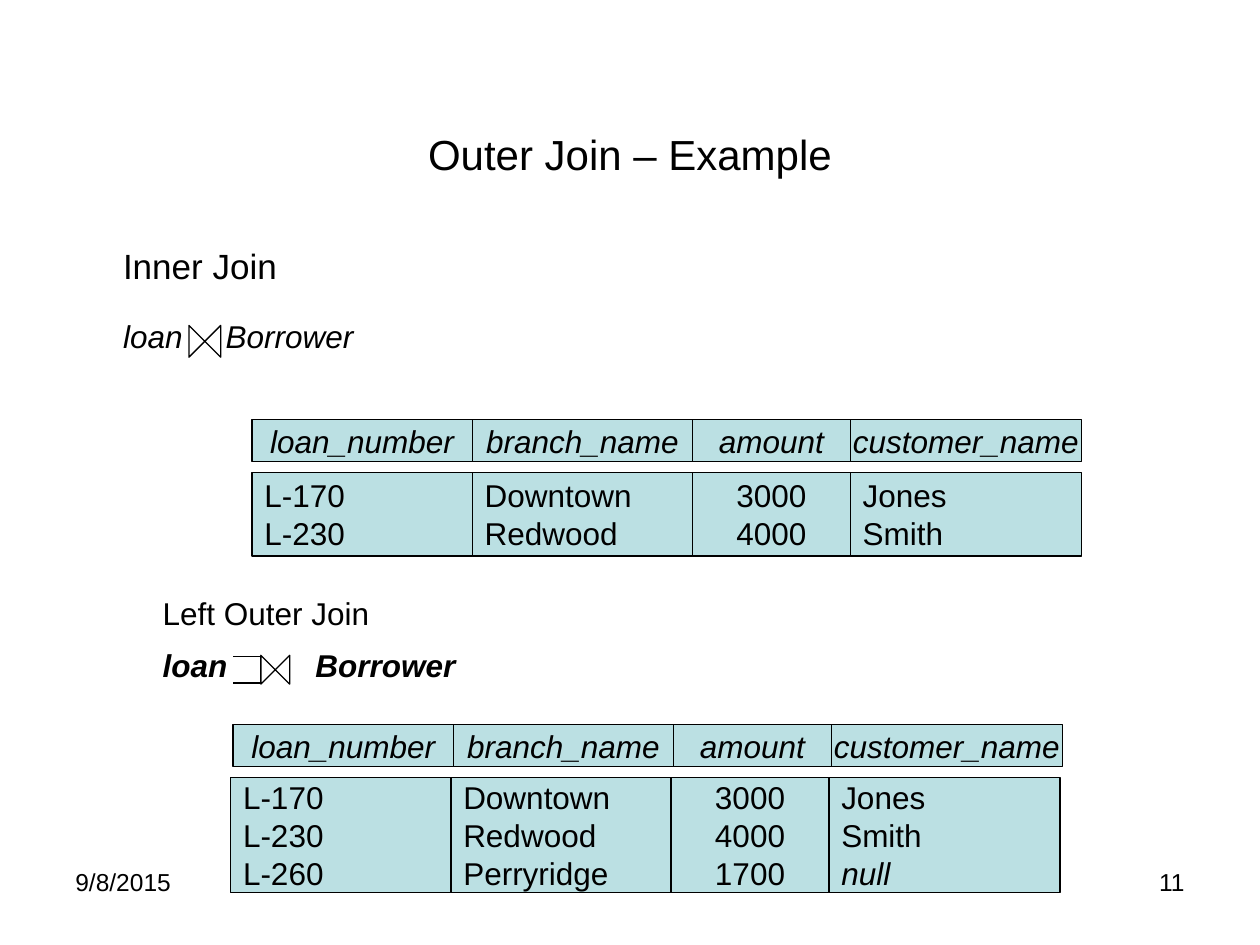
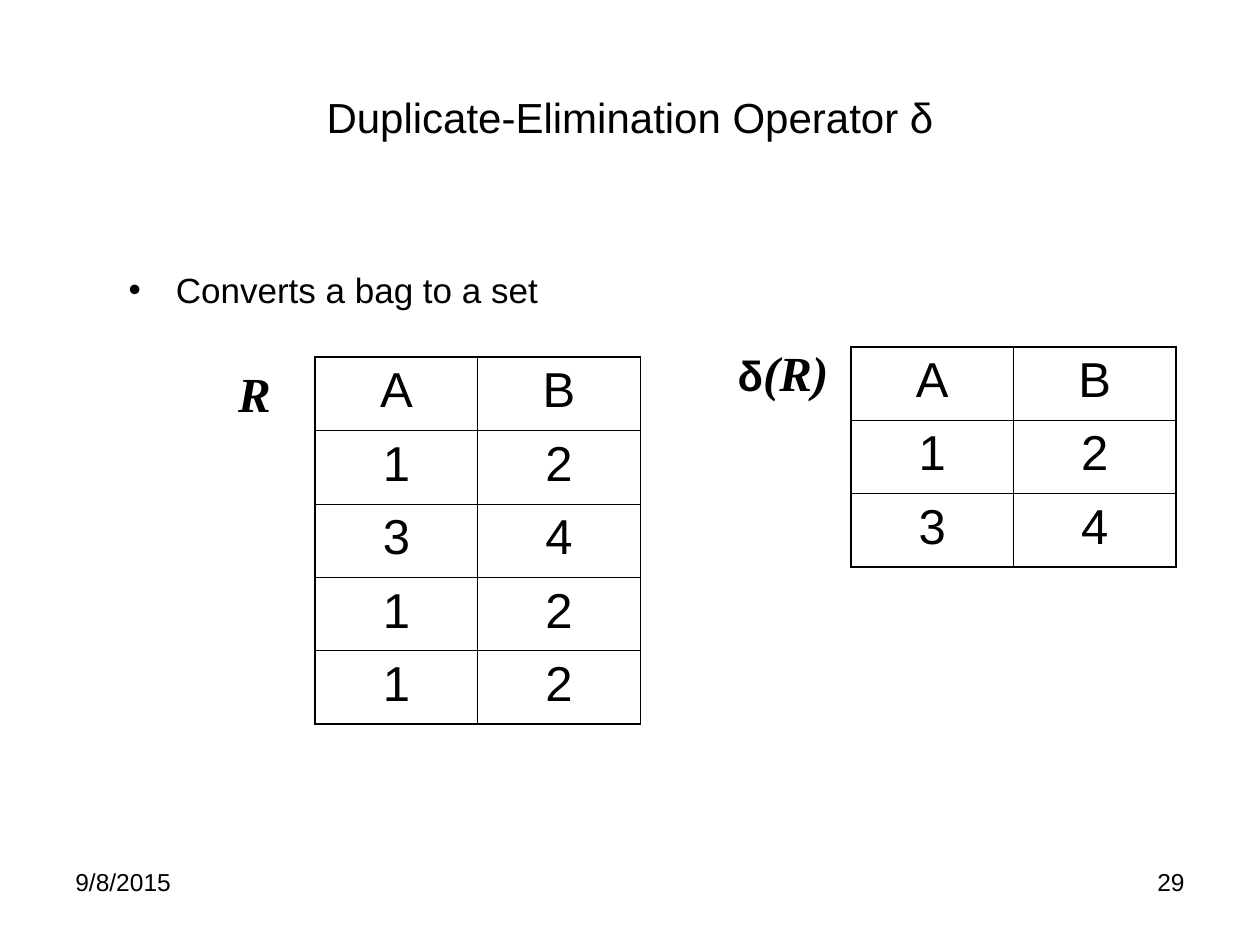
"""Build two relational algebra slides: outer joins and duplicate elimination."""
from dataclasses import dataclass
from itertools import accumulate

from lxml.etree import SubElement
from pptx import Presentation
from pptx.dml.color import RGBColor
from pptx.enum.shapes import MSO_CONNECTOR as Connector, MSO_SHAPE as Preset
from pptx.enum.text import MSO_ANCHOR as Anchor, MSO_AUTO_SIZE as AutoSize, PP_ALIGN as Align
from pptx.oxml import parse_xml
from pptx.oxml.ns import nsdecls, qn
from pptx.util import Cm, Pt

BLACK = RGBColor(0x00, 0x00, 0x00)
PALE_TEAL = RGBColor(0xBB, 0xE0, 0xE3)
SANS = "Arial"
SERIF = "Times New Roman"
LINE_WIDTH = Pt(0.75)
OUTER_BORDER, INNER_BORDER = Pt(1.08), Pt(0.45)
DATE = "9/8/2015"

COLUMN_NAMES = ("loan_number", "branch_name", "amount", "customer_name")
COLUMN_WIDTHS = (Cm(4.44), Cm(4.44), Cm(3.18), Cm(4.66))
HEADER_HEIGHT, HEADER_GAP = Cm(0.84), Cm(0.22)
GRID_COLUMN, GRID_ROW = Cm(3.28), Cm(1.48)


@dataclass(frozen=True)
class Area:
    """A rectangle on the slide, in centimetres."""
    left: float
    top: float
    width: float
    height: float

    def lengths(self) -> tuple:
        """Return left, top, width and height as lengths."""
        return Cm(self.left), Cm(self.top), Cm(self.width), Cm(self.height)


@dataclass(frozen=True)
class Relation:
    """A join result, drawn as a header row above one box per column."""
    left: float
    top: float
    rows_left: float
    rows_height: float
    columns: tuple


@dataclass(frozen=True)
class Bag:
    """A small bordered table of tuples."""
    left: float
    top: float
    rows: tuple


RELATIONS = (
    Relation(5.08, 8.46, 5.08, 1.69, (
        ("L-170", "L-230"), ("Downtown", "Redwood"),
        ("3000", "4000"), ("Jones", "Smith"))),
    Relation(4.7, 14.61, 4.65, 2.33, (
        ("L-170", "L-230", "L-260"), ("Downtown", "Redwood", "Perryridge"),
        ("3000", "4000", "1700"), ("Jones", "Smith", "null"))),
)
BAGS = (
    Bag(6.35, 7.2, ("AB", "12", "34", "12", "12")),
    Bag(17.15, 6.99, ("AB", "12", "34")),
)


def style(para, size: float, font: str = SANS, bold: bool = False, italic: bool = False) -> None:
    """Format every run of a paragraph."""
    for run in para.runs:
        run.font.size, run.font.name = Pt(size), font
        run.font.bold, run.font.italic = bold, italic
        run.font.color.rgb = BLACK


def place(shape, area: Area) -> None:
    """Move and size a placeholder."""
    shape.left, shape.top, shape.width, shape.height = area.lengths()


def add_join_expression(frame, symbol_room: float):
    """Add the joined names, their space widened by points to hold a symbol."""
    para = frame.add_paragraph()
    for text in ("loan", " ", "Borrower"):
        para.add_run().text = text
    space = para.runs[1]
    space._r.get_or_add_rPr().set("spc", str(round(symbol_room * 100)))
    return para


def set_bullet(para, mark: str = "", indent: Cm = Cm(0)) -> None:
    """Give a paragraph a hanging bullet, or none when the mark is empty."""
    props = para._p.get_or_add_pPr()
    props.set("marL", str(indent))
    props.set("indent", str(-indent))
    if mark:
        SubElement(props, qn("a:buFont"), typeface=SANS)
        SubElement(props, qn("a:buChar"), char=mark)
    else:
        SubElement(props, qn("a:buNone"))


def add_text(slide, area: Area, text: str, align: Align = Align.LEFT):
    """Add a wrapping text box and return its text frame."""
    frame = slide.shapes.add_textbox(*area.lengths()).text_frame
    frame.word_wrap = True
    frame.text = text
    frame.paragraphs[0].alignment = align
    return frame


def start_slide(deck, title: str, title_area: Area, body: str, body_area: Area, number: str):
    """Add a slide with its title, body and footers; return it and the body frame."""
    slide = deck.slides.add_slide(deck.slide_layouts[1])
    place(slide.shapes.title, title_area)
    frame = slide.shapes.title.text_frame
    frame.text, frame.vertical_anchor = title, Anchor.MIDDLE
    frame.paragraphs[0].alignment = Align.CENTER
    style(frame.paragraphs[0], 24)
    place(slide.placeholders[1], body_area)
    body_frame = slide.placeholders[1].text_frame
    body_frame.text, body_frame.auto_size = body, AutoSize.NONE
    for left, text, align in ((18.21, number, Align.RIGHT), (1.27, DATE, Align.LEFT)):
        footer = add_text(slide, Area(left, 17.35, 5.92, 1.32), text, align)
        style(footer.paragraphs[0], 14)
    return slide, body_frame


def add_box(slide, position: tuple, lines: tuple, centred: bool, italic: bool) -> None:
    """Draw one filled relation box with a paragraph per line."""
    box = slide.shapes.add_shape(Preset.RECTANGLE, *position)
    box.shadow.inherit = False
    box.fill.solid()
    box.fill.fore_color.rgb = PALE_TEAL
    box.line.color.rgb, box.line.width = BLACK, LINE_WIDTH
    frame = box.text_frame
    frame.word_wrap, frame.vertical_anchor = False, Anchor.MIDDLE
    frame.text = "\n".join(lines)
    for para in frame.paragraphs:
        para.alignment = Align.CENTER if centred else Align.LEFT
        style(para, 18, italic=italic or para.text == "null")


def add_relation(slide, relation: Relation) -> None:
    """Draw a relation's header boxes and column boxes."""
    offsets = accumulate(COLUMN_WIDTHS, initial=0)
    header_top = Cm(relation.top)
    rows_top = header_top + HEADER_HEIGHT + HEADER_GAP
    for name, width, offset, lines in zip(COLUMN_NAMES, COLUMN_WIDTHS, offsets, relation.columns):
        header = (Cm(relation.left) + offset, header_top, width, HEADER_HEIGHT)
        rows = (Cm(relation.rows_left) + offset, rows_top, width, Cm(relation.rows_height))
        add_box(slide, header, (name,), centred=True, italic=True)
        add_box(slide, rows, lines, centred=name == "amount", italic=False)


def add_bowtie(slide, left: float, top: float, size: float) -> None:
    """Draw the join symbol."""
    bowtie = slide.shapes.add_shape(Preset.FLOWCHART_COLLATE, *Area(left, top, size, size).lengths())
    bowtie.rotation = 270
    bowtie.shadow.inherit = False
    bowtie.fill.background()
    bowtie.line.color.rgb, bowtie.line.width = BLACK, LINE_WIDTH


def add_line(slide, left: float, right: float, top: float) -> None:
    """Draw a thin horizontal line."""
    line = slide.shapes.add_connector(Connector.STRAIGHT, Cm(right), Cm(top), Cm(left), Cm(top))
    line.line.color.rgb, line.line.width = BLACK, LINE_WIDTH
    SubElement(line._element.spPr, qn("a:effectLst"))


def set_borders(cell, outer_sides: dict) -> None:
    """Draw the four cell borders, thicker on the table's outer sides."""
    for index, (side, is_outer) in enumerate(outer_sides.items()):
        width = OUTER_BORDER if is_outer else INNER_BORDER
        cell._tc.get_or_add_tcPr().insert(index, parse_xml(
            f'<a:ln{side} {nsdecls("a")} w="{width}"><a:solidFill>'
            f'<a:srgbClr val="{BLACK}"/></a:solidFill></a:ln{side}>'))


def add_bag(slide, bag: Bag) -> None:
    """Draw a bag as an unfilled table."""
    row_count, column_count = len(bag.rows), len(bag.rows[0])
    table = slide.shapes.add_table(
        row_count, column_count, Cm(bag.left), Cm(bag.top),
        GRID_COLUMN * column_count, GRID_ROW * row_count).table
    table.first_row = table.horz_banding = False
    for row_index, values in enumerate(bag.rows):
        for column_index, value in enumerate(values):
            cell = table.cell(row_index, column_index)
            cell.text = value
            para = cell.text_frame.paragraphs[0]
            para.alignment, para.space_before = Align.CENTER, Pt(7)
            style(para, 28)
            cell.fill.background()
            set_borders(cell, {
                "L": column_index == 0, "R": column_index == column_count - 1,
                "T": row_index == 0, "B": row_index == row_count - 1})


def build_outer_join(deck) -> None:
    """Build the outer join example slide."""
    slide, body = start_slide(
        deck, "Outer Join – Example", Area(1.27, 2.26, 22.86, 1.68),
        "Inner Join", Area(1.27, 4.9, 19.71, 2.51), "11")
    body.margin_left = Cm(1.21)
    heading, expression = body.paragraphs[0], add_join_expression(body, 19.6)
    for para, size, gap in ((heading, 20, 4.5), (expression, 18, 19.3)):
        para.line_spacing, para.space_before = 0.9, Pt(gap)
        set_bullet(para)
        style(para, size, italic=para is expression)
    add_bowtie(slide, 3.81, 6.56, 0.64)
    for relation in RELATIONS:
        add_relation(slide, relation)

    left_join = add_text(slide, Area(2.34, 11.86, 11.76, 2.06), "Left Outer Join")
    left_join.margin_left = Cm(0.94)
    add_join_expression(left_join, 45.3)
    for para, strong in zip(left_join.paragraphs, (False, True)):
        para.space_before = Pt(7.9)
        style(para, 18, bold=strong, italic=strong)
    add_bowtie(slide, 5.26, 13.21, 0.58)
    for top in (13.23, 13.77):
        add_line(slide, 4.69, 5.26, top)


def build_duplicate_elimination(deck) -> None:
    """Build the duplicate elimination slide."""
    slide, body = start_slide(
        deck, "Duplicate-Elimination Operator δ", Area(1.27, 0.76, 22.86, 3.18),
        "Converts a bag to a set", Area(2.34, 5.28, 21.82, 11.63), "29")
    point = body.paragraphs[0]
    point.space_before = Pt(5)
    set_bullet(point, "•", Cm(0.95))
    style(point, 20)
    for bag in BAGS:
        add_bag(slide, bag)

    bag_label = add_text(slide, Area(4.24, 7.2, 1.47, 1.45), "R", Align.RIGHT).paragraphs[0]
    set_label = add_text(slide, Area(13.77, 6.78, 3.18, 1.45), "δ", Align.RIGHT).paragraphs[0]
    set_label.add_run().text = "(R)"
    for label in (bag_label, set_label):
        label.space_before = Pt(17.5)
        style(label, 28, SERIF, bold=True, italic=True)
    delta = set_label.runs[0].font
    delta.size, delta.name, delta.italic = Pt(24), SANS, False


def main() -> None:
    """Build and save the deck."""
    deck = Presentation()
    deck.slide_width, deck.slide_height = Cm(25.4), Cm(19.05)
    build_outer_join(deck)
    build_duplicate_elimination(deck)
    deck.save("out.pptx")


if __name__ == "__main__":
    main()
